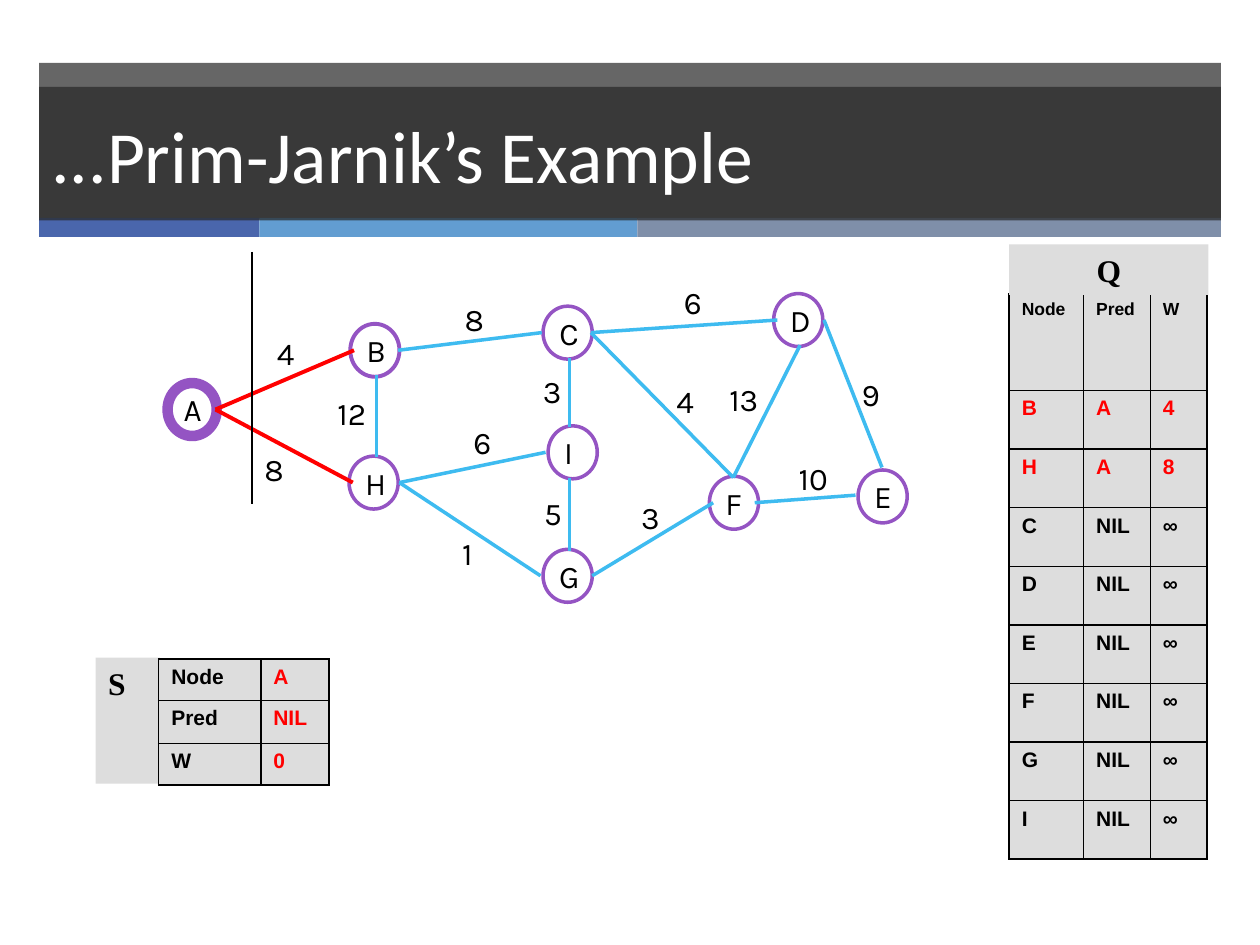
from typing import NamedTuple

from lxml.etree import SubElement
from pptx import Presentation
from pptx.dml.color import RGBColor
from pptx.enum.shapes import MSO_CONNECTOR as Connector, MSO_SHAPE as Preset
from pptx.enum.text import MSO_ANCHOR as Anchor, MSO_AUTO_SIZE as AutoSize, PP_ALIGN as Align
from pptx.oxml.ns import qn
from pptx.util import Inches, Pt

BLACK = RGBColor(0x00, 0x00, 0x00)
WHITE = RGBColor(0xFF, 0xFF, 0xFF)
RED = RGBColor(0xFF, 0x00, 0x00)
DARK = RGBColor(0x26, 0x26, 0x26)
GREY = RGBColor(0xDD, 0xDD, 0xDD)
PURPLE = RGBColor(0x94, 0x54, 0xC3)
SKY = RGBColor(0x3E, 0xBB, 0xF0)
STRIPES = (RGBColor(0x4A, 0x66, 0xAC), RGBColor(0x62, 0x9D, 0xD1), RGBColor(0x7F, 0x8F, 0xA9))


class Node(NamedTuple):
    name: str
    left: float
    top: float
    label_width: float
    ring: float = 2


class Edge(NamedTuple):
    start: tuple
    end: tuple
    weight: str
    label_at: tuple
    color: RGBColor = SKY
    width: float = 2


NODES = [
    Node("H", 2.77, 3.62, 0.37), Node("B", 2.78, 2.57, 0.35, 2.25),
    Node("C", 4.31, 2.43, 0.35), Node("I", 4.35, 3.38, 0.30),
    Node("A", 1.33, 3.04, 0.35, 6), Node("D", 6.14, 2.33, 0.37),
    Node("G", 4.31, 4.36, 0.37), Node("F", 5.63, 3.78, 0.33),
    Node("E", 6.81, 3.73, 0.34),
]
EDGES = [
    Edge((2.99, 3.63), (2.99, 2.98), "12", (2.58, 3.08)),
    Edge((4.52, 2.84), (4.52, 3.39), "3", (4.21, 2.9)),
    Edge((4.3, 2.64), (3.16, 2.78), "8", (3.59, 2.33)),
    Edge((4.69, 2.64), (5.82, 3.79), "4", (5.27, 2.98)),
    Edge((1.71, 3.25), (2.8, 3.83), "8", (2, 3.52), RED, 2.25),
    Edge((3.17, 3.83), (4.29, 4.57), "1", (3.57, 4.19)),
    Edge((4.52, 4.37), (4.52, 3.79), "5", (4.22, 3.87)),
    Edge((1.71, 3.25), (2.81, 2.78), "4", (2.1, 2.6), RED, 2.25),
    Edge((3.17, 3.83), (4.33, 3.59), "6", (3.66, 3.31)),
    Edge((4.7, 4.57), (5.66, 3.99), "3", (4.99, 3.9)),
    Edge((5.99, 3.99), (6.79, 3.93), "10", (6.24, 3.59)),
    Edge((6.17, 2.54), (4.69, 2.64), "6", (5.33, 2.2)),
    Edge((6.35, 2.74), (5.82, 3.79), "13", (5.69, 2.97)),
    Edge((6.54, 2.54), (7, 3.71), "9", (6.74, 2.93)),
]
# Cut curve: a start point, then three Bézier points per segment
CUT = [
    (1.81, 2.37), (1.82, 2.42), (1.83, 2.59), (1.89, 2.63), (1.9, 2.63), (1.93, 2.65),
    (1.94, 2.66), (2.02, 2.73), (1.97, 2.71), (2.03, 2.73), (2.07, 2.76), (2.11, 2.77),
    (2.16, 2.78), (2.19, 2.79), (2.24, 2.81), (2.24, 2.81), (2.27, 2.83), (2.31, 2.89),
    (2.31, 2.89), (2.33, 2.95), (2.34, 3.01), (2.36, 3.07), (2.41, 3.25), (2.36, 3.34),
    (2.23, 3.44), (2.21, 3.49), (2.18, 3.54), (2.15, 3.59), (2.14, 3.6), (2.13, 3.62),
    (2.13, 3.62), (2.12, 3.66), (2.09, 3.69), (2.07, 3.74), (2.06, 3.82), (2.02, 3.88),
    (2, 3.95), (1.99, 3.99), (1.98, 4.09), (1.98, 4.12), (1.98, 4.15), (1.99, 4.22),
    (1.99, 4.22),
]
CUT_END = (2.03, 4.3)


def write(frame, text: str, font: str, size: float, color: RGBColor = BLACK,
          bold: bool = False, align: Align = Align.LEFT) -> None:
    paragraph = frame.paragraphs[0]
    paragraph.alignment = align
    run = paragraph.add_run()
    run.text = text
    for name, value in {"name": font, "size": Pt(size), "bold": bold}.items():
        setattr(run.font, name, value)
    run.font.color.rgb = color


def add_block(slide, box: tuple, color: RGBColor, alpha: int = 100):
    shape = slide.shapes.add_shape(Preset.RECTANGLE, *map(Inches, box))
    shape.shadow.inherit = False
    shape.fill.solid()
    shape.fill.fore_color.rgb = color
    shape.line.fill.background()
    if alpha < 100:
        rgb = shape.fill._xPr.find(".//" + qn("a:srgbClr"))
        SubElement(rgb, qn("a:alpha"), val=str(alpha * 1000))
    shape.text_frame.vertical_anchor = Anchor.TOP
    return shape


def add_label(slide, text: str, left: float, top: float, width: float) -> None:
    frame = slide.shapes.add_textbox(*map(Inches, (left, top, width, 0.4))).text_frame
    for name, value in {"word_wrap": False, "auto_size": AutoSize.SHAPE_TO_FIT_TEXT}.items():
        setattr(frame, name, value)
    write(frame, text, "Karla", 18)


def add_node(slide, node: Node) -> None:
    ring = slide.shapes.add_shape(Preset.OVAL, *map(Inches, (node.left, node.top, 0.39, 0.42)))
    ring.shadow.inherit = False
    ring.fill.background()
    ring.line.color.rgb = PURPLE
    ring.line.width = Pt(node.ring)
    add_label(slide, node.name, node.left + 0.03, node.top + 0.01, node.label_width)


def add_edge(slide, edge: Edge) -> None:
    line = slide.shapes.add_connector(Connector.STRAIGHT, *map(Inches, edge.start + edge.end))
    line.line.color.rgb = edge.color
    line.line.width = Pt(edge.width)
    SubElement(line._element.spPr, qn("a:effectLst"))


def add_cut(slide, steps: int = 8) -> None:
    points = []
    for first in range(0, len(CUT) - 1, 3):
        corners = CUT[first:first + 4]
        for step in range(1, steps + 1):
            t = step / steps
            factors = ((1 - t) ** 3, 3 * t * (1 - t) ** 2, 3 * t * t * (1 - t), t ** 3)
            points.append(tuple(sum(f * c[axis] for f, c in zip(factors, corners))
                                for axis in (0, 1)))
    builder = slide.shapes.build_freeform(*CUT[0], scale=Inches(1))
    builder.add_line_segments(points + [CUT_END], close=False)
    curve = builder.convert_to_shape()
    curve.shadow.inherit = False
    curve.fill.background()
    curve.line.color.rgb = BLACK
    curve.line.width = Pt(0.75)


def add_grid(slide, left: float, top: float, columns: list, heights: list, rows: list,
             is_red, header_size: float = 12) -> None:
    box = map(Inches, (left, top, sum(columns), sum(heights)))
    table = slide.shapes.add_table(len(rows), len(columns), *box).table
    for column, width in zip(table.columns, columns):
        column.width = Inches(width)
    for r, (row, height) in enumerate(zip(rows, heights)):
        table.rows[r].height = Inches(height)
        for c, text in enumerate(row):
            cell = table.cell(r, c)
            write(cell.text_frame, text, "Arial", 12 if r else header_size,
                  RED if is_red(r, c) else BLACK, bold=True)
            properties = cell._tc.get_or_add_tcPr()
            for side in ("a:lnL", "a:lnR", "a:lnT", "a:lnB"):
                border = SubElement(properties, qn(side), w=str(Pt(1)))
                SubElement(SubElement(border, qn("a:solidFill")), qn("a:srgbClr"), val=str(BLACK))
            cell.fill.solid()
            cell.fill.fore_color.rgb = GREY


def main() -> None:
    presentation = Presentation()
    presentation.slide_width, presentation.slide_height = Inches(10), Inches(7.5)
    slide = presentation.slides.add_slide(presentation.slide_layouts[6])

    # Title band with its three stripes
    add_block(slide, (0.31, 0.5, 9.38, 1.24), DARK, 70)
    left = 0.31
    for width, color in zip((1.75, 3, 4.63), STRIPES):
        add_block(slide, (left, 1.73, width, 0.15), color)
        left += width
    title = add_block(slide, (0.31, 0.69, 9.38, 1.06), DARK, 70).text_frame
    title.vertical_anchor = Anchor.MIDDLE
    write(title, "...Prim-Jarnik’s Example", "Calibri", 42, WHITE)

    # Weighted graph and the cut
    for node in NODES:
        add_node(slide, node)
    for edge in EDGES:
        add_edge(slide, edge)
    for edge in EDGES:
        add_label(slide, edge.weight, *edge.label_at, 0.34 if len(edge.weight) == 1 else 0.48)
    add_cut(slide)

    # Queue Q
    waiting = [(name, "NIL", "∞") for name in "CDEFGI"]
    queue = [("Node", "Pred", "W"), ("B", "A", "4"), ("H", "A", "8")] + waiting
    add_grid(slide, 8.01, 2.33, [0.59, 0.53, 0.45], [0.77] + [0.465] * 8, queue,
             lambda r, c: r in (1, 2), header_size=10)
    heading = add_block(slide, (8.01, 1.94, 1.58, 0.4), GREY)
    write(heading.text_frame, "Q", "Times New Roman", 18, bold=True, align=Align.CENTER)

    # Finished set S
    heading = add_block(slide, (0.76, 5.22, 0.51, 1), GREY)
    write(heading.text_frame, "S", "Times New Roman", 18, bold=True)
    add_grid(slide, 1.26, 5.23, [0.81, 0.54], [0.33, 0.34, 0.33],
             [("Node", "A"), ("Pred", "NIL"), ("W", "0")], lambda r, c: c == 1)

    presentation.save("out.pptx")


if __name__ == "__main__":
    main()
